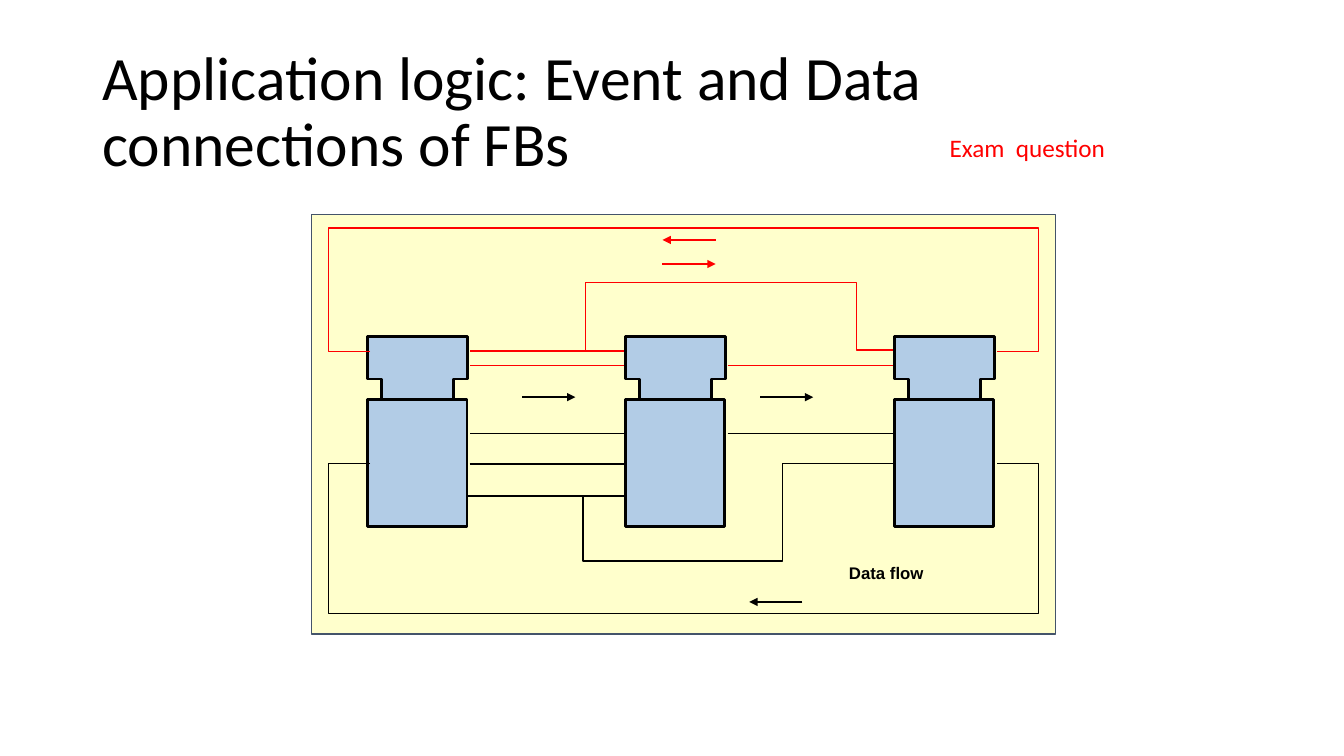
from lxml.etree import SubElement
from pptx import Presentation
from pptx.dml.color import RGBColor
from pptx.enum.shapes import MSO_CONNECTOR, MSO_SHAPE
from pptx.enum.text import MSO_ANCHOR
from pptx.oxml.ns import qn
from pptx.util import Pt

BLACK = RGBColor(0, 0, 0)
RED = RGBColor(0xFF, 0, 0)
CREAM = RGBColor(0xFF, 0xFF, 0xCC)
BLUE = RGBColor(0xB2, 0xCC, 0xE6)
SLATE = RGBColor(0x44, 0x54, 0x6A)


def add_text(slide, words, x, y, w, h, size=18, font="Calibri", color=BLACK,
             bold=False, wrap=True, space=1.0, anchor=MSO_ANCHOR.TOP):
    frame = slide.shapes.add_textbox(Pt(x), Pt(y), Pt(w), Pt(h)).text_frame
    frame.word_wrap = wrap
    frame.vertical_anchor = anchor
    para = frame.paragraphs[0]
    para.text = words
    para.line_spacing = space
    para.font.size = Pt(size)
    para.font.name = font
    para.font.bold = bold
    para.font.color.rgb = color


def paint(shape, fill, color, width):
    shape.shadow.inherit = False
    if fill is None:
        shape.fill.background()
    else:
        shape.fill.solid()
        shape.fill.fore_color.rgb = fill
    shape.line.color.rgb = color
    shape.line.width = Pt(width)


def add_rect(slide, x, y, w, h, fill, color, width):
    shape = slide.shapes.add_shape(MSO_SHAPE.RECTANGLE, Pt(x), Pt(y), Pt(w), Pt(h))
    paint(shape, fill, color, width)


def add_path(slide, x, y, points, color, fill=None, width=1, close=False):
    spots = [(Pt(x + dx), Pt(y + dy)) for dx, dy in points]
    maker = slide.shapes.build_freeform(*spots[0])
    maker.add_line_segments(spots[1:], close=close)
    paint(maker.convert_to_shape(), fill, color, width)


def add_line(slide, x1, x2, y, color, arrow=False):
    line = slide.shapes.add_connector(
        MSO_CONNECTOR.STRAIGHT, Pt(x1), Pt(y), Pt(x2), Pt(y))
    line.line.color.rgb = color
    line.line.width = Pt(1)
    props = line._element.spPr
    if arrow:
        SubElement(props.find(qn("a:ln")), qn("a:tailEnd"), type="triangle")
    SubElement(props, qn("a:effectLst"))


def add_block(slide, x, y):
    head, neck, inset, wide = 30.2, 45, 10, 71.5
    half = [(inset, neck), (inset, head), (0, head), (0, 0)]
    points = half + [(wide - dx, dy) for dx, dy in reversed(half)]
    add_path(slide, x, y, points, BLACK, fill=BLUE, width=2, close=True)
    add_rect(slide, x, y + neck, 70.9, 90.4, BLUE, BLACK, 2)


def add_header(slide, x, y, w, h):
    add_text(slide, "Application logic: Event and Data \vconnections of FBs",
             x, y, w, h, size=44, space=0.9, anchor=MSO_ANCHOR.MIDDLE)
    add_text(slide, "Exam  question", x + 605.2, y + 61.9, 223.2, 28.8, color=RED)


def add_panel(slide, x, y, w, h):
    add_rect(slide, x, y, w, h, CREAM, SLATE, 1)

    first, second, third = 40.2, 224.4, 416.4
    event, data = 97.8, 177.8
    links = [
        (113.4, second, 107.5, RED), (297.3, 418.3, 107.5, RED),
        (113.4, second, 97.2, RED), (113, 224, 178, BLACK),
        (297.3, 418.3, 156.2, BLACK), (111.6, 224, 200.8, BLACK),
        (113.4, second, 156.2, BLACK),
    ]
    for x1, x2, dy, color in links:
        add_line(slide, x + x1, x + x2, y + dy, color)

    add_path(slide, x, y, [(195.6, 96.6), (195.6, 48.2), (389.5, 48.2),
                           (389.5, 96.6), (419.7, 96.6)], RED)
    add_path(slide, x, y, [(193.9, 200.8), (193.9, 247.4), (336.4, 247.4),
                           (336.4, data), (417.6, data)], BLACK)

    for dx in (first, second, third):
        add_block(slide, x + dx, y + 87.2)

    for side, far, color in ((data, 284.8, BLACK), (event, 9.5, RED)):
        add_path(slide, x, y, [(41.9, side), (12, side), (12, far),
                               (519.4, far), (519.4, side), (489.4, side)], color)

    arrows = [(250.7, 35.2, 38, RED), (288.7, 18, -38, RED),
              (350.7, 276.6, -38, BLACK), (320.4, 130.3, 38, BLACK),
              (150.5, 130.3, 38, BLACK)]
    for dx, dy, span, color in arrows:
        add_line(slide, x + dx, x + dx + span, y + dy, color, arrow=True)

    add_text(slide, "Data flow", x + 376.8, y + 246.9, 68.4, 20.2, size=12,
             font="Arial", bold=True, wrap=False, space=0.9)


def main():
    deck = Presentation()
    deck.slide_width = Pt(960)
    deck.slide_height = Pt(540)
    slide = deck.slides.add_slide(deck.slide_layouts[6])
    add_header(slide, 66, 28.8, 828, 104.4)
    add_panel(slide, 222.5, 153.4, 531.4, 299.5)
    deck.save("out.pptx")


if __name__ == "__main__":
    main()
